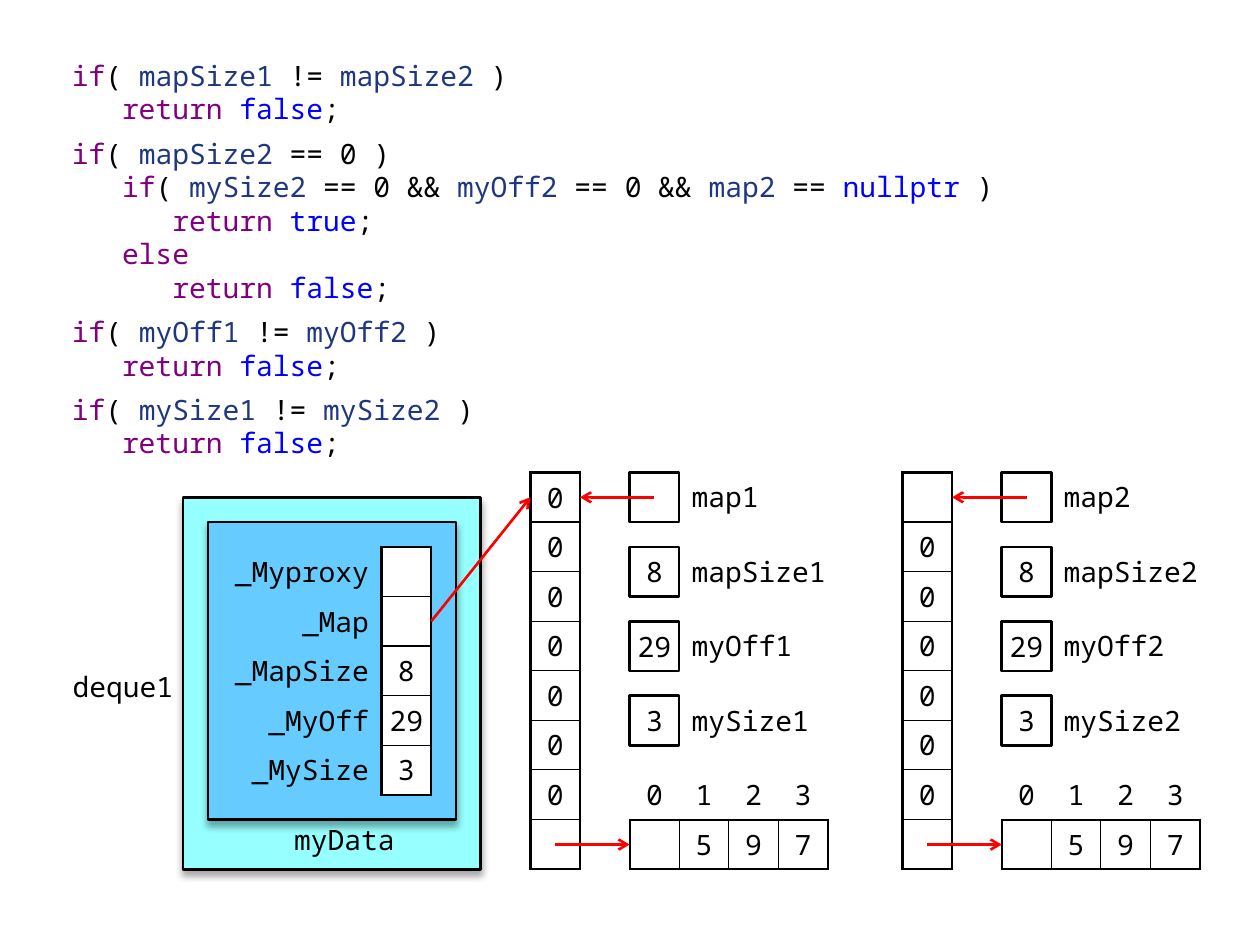
from dataclasses import dataclass
from itertools import groupby

from lxml.etree import SubElement
from pptx import Presentation
from pptx.dml.color import RGBColor
from pptx.enum.shapes import MSO_CONNECTOR, MSO_SHAPE
from pptx.enum.text import MSO_ANCHOR, MSO_AUTO_SIZE, PP_ALIGN
from pptx.oxml.ns import qn
from pptx.util import Inches, Pt


@dataclass(frozen=True)
class Theme:
    font: str = "Noto Sans Mono"
    size: float = 16
    line_spacing: float = 19.2
    block_gap: float = 6
    thick: float = 1.5
    thin: float = 0.75
    ink: str = "000000"
    paper: str = "FFFFFF"
    keyword: str = "800080"
    literal: str = "0000FF"
    variable: str = "1F377F"
    arrow: str = "FF0000"
    outer: str = "96FFFF"
    inner: str = "66CCFF"


THEME = Theme()

# Every element sits on a one-centimetre grid, counted from the first map's top left
CELL = 1 / 2.54
ORIGIN_LEFT, ORIGIN_TOP = 4.21, 3.75
NO_TABLE_STYLE = "{2D5ABB26-0587-4C30-8999-92F81FD0307C}"

KEYWORDS = {"if", "else", "return"}
LITERALS = {"true", "false", "nullptr"}
CODE_BLOCKS = [
    ["if( mapSize1 != mapSize2 )", "   return false;"],
    ["if( mapSize2 == 0 )",
     "   if( mySize2 == 0 && myOff2 == 0 && map2 == nullptr )",
     "      return true;",
     "   else",
     "      return false;"],
    ["if( myOff1 != myOff2 )", "   return false;"],
    ["if( mySize1 != mySize2 )", "   return false;"],
]
FIELDS = [["_Myproxy", ""], ["_Map", ""], ["_MapSize", "8"], ["_MyOff", "29"], ["_MySize", "3"]]
VARIABLES = [("map", ""), ("mapSize", "8"), ("myOff", "29"), ("mySize", "3")]
ELEMENTS = [["0", "1", "2", "3"], ["", "5", "9", "7"]]


def point(column, row):
    return Inches(ORIGIN_LEFT + column * CELL), Inches(ORIGIN_TOP + row * CELL)


def extent(columns, rows):
    return Inches(columns * CELL), Inches(rows * CELL)


def set_format(target, values):
    for name, value in values.items():
        setattr(target, name, value)


def margins(left, top, right, bottom):
    sides = zip(("left", "top", "right", "bottom"), (left, top, right, bottom))
    return {f"margin_{side}": Inches(value) for side, value in sides}


def add_span(para, text, color=THEME.ink):
    span = para.add_run()
    span.text = text
    set_format(span.font, {"name": THEME.font, "size": Pt(THEME.size)})
    span.font.color.rgb = RGBColor.from_string(color)


def write(frame, text, align):
    para = frame.paragraphs[0]
    para.alignment = align
    if text:
        add_span(para, text)


def token_color(token):
    if token in KEYWORDS:
        return THEME.keyword
    if token in LITERALS:
        return THEME.literal
    return THEME.variable if token[0].isalpha() else THEME.ink


def fill_code(body):
    set_format(body, dict(zip(("left", "top"), point(-9.5, -8.5))))
    set_format(body, dict(zip(("width", "height"), extent(20, 8.5))))
    frame = body.text_frame
    set_format(frame, {"auto_size": MSO_AUTO_SIZE.NONE, "word_wrap": True,
                       "vertical_anchor": MSO_ANCHOR.TOP, **margins(0.1, 0.06, 0.1, 0.05)})
    para = None
    for block_index, block in enumerate(CODE_BLOCKS):
        for line_index, line in enumerate(block):
            para = frame.add_paragraph() if para else frame.paragraphs[0]
            properties = para._p.get_or_add_pPr()
            properties.set("marL", "0")
            properties.set("indent", "0")
            SubElement(properties, qn("a:buNone"))
            starts_block = block_index and not line_index
            set_format(para, {"line_spacing": Pt(THEME.line_spacing),
                              "space_before": Pt(THEME.block_gap if starts_block else 0)})
            for _, letters in groupby(line, key=str.isalnum):
                token = "".join(letters)
                add_span(para, token, token_color(token))


def add_label(page, text, at, size, insets, align=PP_ALIGN.LEFT, anchor=MSO_ANCHOR.TOP):
    box = page.shapes.add_textbox(*point(*at), *extent(*size))
    set_format(box.text_frame, {"word_wrap": True, "vertical_anchor": anchor, **margins(*insets)})
    write(box.text_frame, text, align)


def add_box(page, kind, at, size, color, text="", shadow=False):
    box = page.shapes.add_shape(kind, *point(*at), *extent(*size))
    box.shadow.inherit = False
    box.fill.solid()
    box.fill.fore_color.rgb = RGBColor.from_string(color)
    box.line.color.rgb = RGBColor.from_string(THEME.ink)
    box.line.width = Pt(THEME.thick)
    set_format(box.text_frame, {"vertical_anchor": MSO_ANCHOR.MIDDLE,
                                **margins(0.04, 0.05, 0.04, 0.05)})
    write(box.text_frame, text, PP_ALIGN.CENTER)
    if shadow:
        effects = box.element.spPr.find(qn("a:effectLst"))
        outer = SubElement(effects, qn("a:outerShdw"), blurRad=str(Pt(4)), dist=str(Pt(3)),
                           dir="5400000", algn="t", rotWithShape="0")
        color_element = SubElement(outer, qn("a:srgbClr"), val=THEME.ink)
        SubElement(color_element, qn("a:alpha"), val="35000")


def add_arrow(page, start, end):
    arrow = page.shapes.add_connector(MSO_CONNECTOR.STRAIGHT, *point(*start), *point(*end))
    arrow.line.color.rgb = RGBColor.from_string(THEME.arrow)
    arrow.line.width = Pt(THEME.thick)
    SubElement(arrow.line._get_or_add_ln(), qn("a:tailEnd"), type="arrow", w="med", len="med")
    SubElement(arrow.element.spPr, qn("a:effectLst"))


def add_borders(cell, thick_sides):
    properties = cell._tc.get_or_add_tcPr()
    for side, thick in zip("LRTB", thick_sides):
        width = Pt(THEME.thick if thick else THEME.thin)
        line = SubElement(properties, qn(f"a:ln{side}"), w=str(width))
        SubElement(SubElement(line, qn("a:solidFill")), qn("a:srgbClr"), val=THEME.ink)


def add_grid(page, at, rows, widths, first_row=0, first_column=0, open_align=PP_ALIGN.CENTER):
    """Draw a table whose cells from first_row and first_column on are framed."""
    graphic = page.shapes.add_table(len(rows), len(widths), *point(*at),
                                    *extent(sum(widths), len(rows)))
    graphic.element.find(".//" + qn("a:tableStyleId")).text = NO_TABLE_STYLE
    table = graphic.table
    set_format(table, {"first_row": False, "horz_banding": False})
    for column, width in zip(table.columns, widths):
        column.width = Inches(width * CELL)
    for row_index, values in enumerate(rows):
        table.rows[row_index].height = Inches(CELL)
        for column_index, value in enumerate(values):
            cell = table.cell(row_index, column_index)
            framed = row_index >= first_row and column_index >= first_column
            side = 0.04 if framed or open_align == PP_ALIGN.CENTER else 0.1
            set_format(cell, {"vertical_anchor": MSO_ANCHOR.MIDDLE,
                              **margins(side, 0.04, side, 0.04)})
            write(cell.text_frame, value, PP_ALIGN.CENTER if framed else open_align)
            if framed:
                add_borders(cell, (column_index == first_column, column_index == len(widths) - 1,
                                   row_index == first_row, row_index == len(rows) - 1))
                cell.fill.solid()
                cell.fill.fore_color.rgb = RGBColor.from_string(THEME.paper)
            else:
                cell.fill.background()


def add_map(page, left, number, first_value):
    # Map column and the block that its last entry points to
    add_grid(page, (left, 0), [[value] for value in [first_value, *"000000", ""]], [1])
    add_grid(page, (left + 2, 6), ELEMENTS, [1] * 4, first_row=1)
    add_arrow(page, (left + 0.5, 7.5), (left + 2, 7.5))
    # Local variables
    for index, (name, value) in enumerate(VARIABLES):
        top = index * 1.5
        add_box(page, MSO_SHAPE.RECTANGLE, (left + 2, top), (1, 1), THEME.paper, value)
        add_label(page, f"{name}{number}", (left + 3, top), (3, 1), (0.1, 0.06, 0, 0))
    add_arrow(page, (left + 2.5, 0.5), (left + 1, 0.5))


def add_deque(page):
    process = MSO_SHAPE.FLOWCHART_PROCESS
    add_box(page, process, (-7, 0.5), (6, 7.5), THEME.outer, shadow=True)
    add_box(page, process, (-6.5, 1), (5, 6), THEME.inner, shadow=True)
    add_label(page, "deque1", (-9.5, 3.5), (2.5, 1.5), (0.08, 0.04, 0.08, 0),
              PP_ALIGN.RIGHT, MSO_ANCHOR.MIDDLE)
    add_label(page, "myData", (-5, 7), (2.5, 1), (0.08, 0.02, 0.08, 0), PP_ALIGN.CENTER)
    add_grid(page, (-6.5, 1.5), FIELDS, [3.5, 1], first_column=1, open_align=PP_ALIGN.RIGHT)
    add_arrow(page, (-2, 3), (0, 0.5))


def main():
    deck = Presentation()
    set_format(deck, {"slide_width": Inches(10), "slide_height": Inches(7.5)})
    page = deck.slides.add_slide(deck.slide_layouts[1])
    title = page.shapes.title.element
    title.getparent().remove(title)
    fill_code(page.placeholders[1])
    add_map(page, 0, 1, "0")
    add_map(page, 7.5, 2, "")
    add_deque(page)
    deck.save("out.pptx")


if __name__ == "__main__":
    main()
